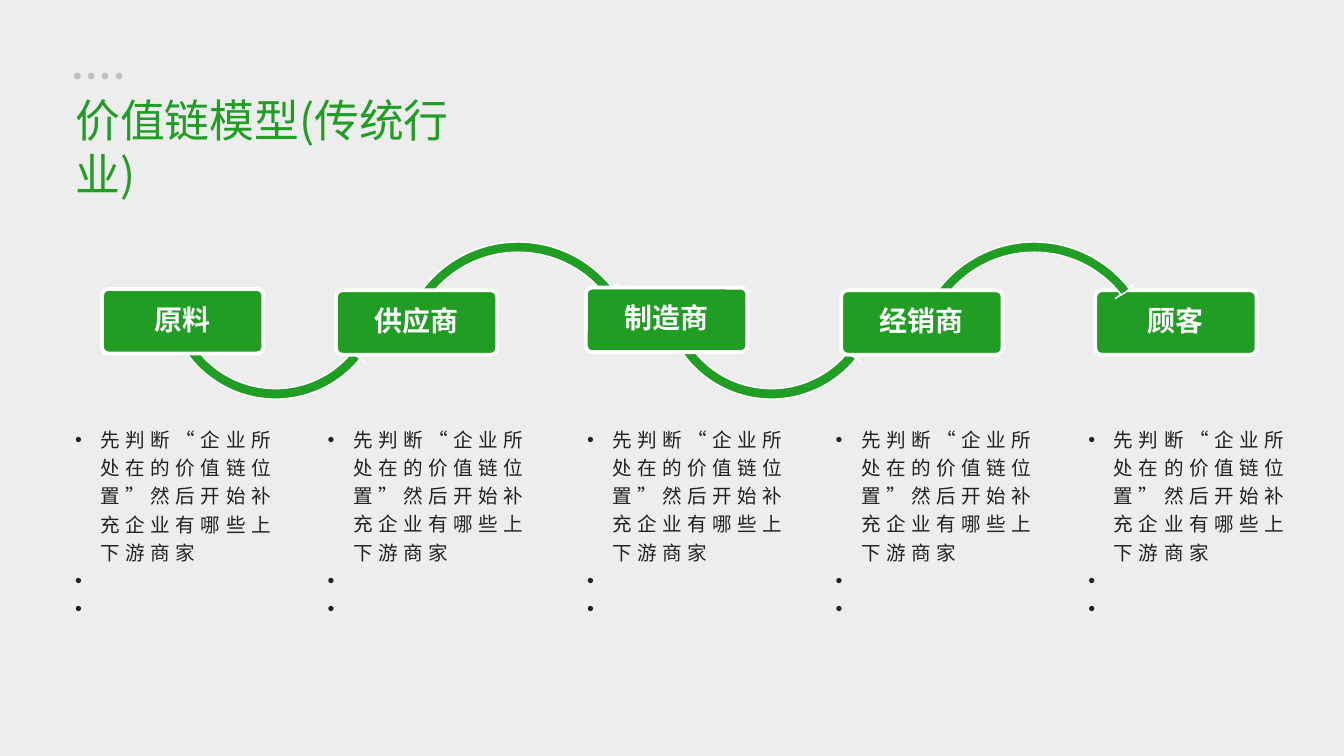
from dataclasses import dataclass

from lxml import etree
from pptx import Presentation
from pptx.dml.color import RGBColor
from pptx.enum import shapes, text
from pptx.oxml import ns
from pptx.util import Inches, Pt

FONT = "Noto Sans CJK SC"
COLORS = {"background": "EDEDED", "dot": "BFBFBF", "green": "1F9E23",
          "white": "FFFFFF", "body": "222222"}
ADVICE = "先判断“企业所处在的价值链位置”然后开始补充企业有哪些上下游商家"
KIND = shapes.MSO_SHAPE


@dataclass
class Stage:
    name: str
    left: float
    top: float
    advice_left: float


@dataclass
class Arc:
    kind: KIND
    left: float
    top: float
    size: float
    adjustments: tuple


STAGES = [
    Stage("原料", 0.76, 2.15, 0.46),
    Stage("供应商", 2.5, 2.16, 2.34),
    Stage("制造商", 4.36, 2.14, 4.27),
    Stage("经销商", 6.26, 2.16, 6.12),
    Stage("顾客", 8.15, 2.16, 8.0),
]
LOWER = (0.045, 0, 23.41, 90.25, 0.052)
UPPER = (0.04, 0.378, 193.16, 125.76, 0.047)
LOWER_ARCS = [Arc(KIND.LEFT_CIRCULAR_ARROW, left, 1.3, 1.72, LOWER) for left in (4.88, 1.19)]
UPPER_ARCS = [Arc(KIND.CIRCULAR_ARROW, left, 1.75, 1.89, UPPER) for left in (2.91, 6.75)]


def rgb(name: str) -> RGBColor:
    return RGBColor.from_string(COLORS[name])


def place(item, left: float, top: float, width: float, height: float) -> None:
    box = {"left": left, "top": top, "width": width, "height": height}
    for side, length in box.items():
        setattr(item, side, Inches(length))


def set_frame(frame, anchor, side: float = 0.1) -> None:
    layout = {"word_wrap": True, "auto_size": text.MSO_AUTO_SIZE.NONE,
              "vertical_anchor": anchor,
              "margin_left": Inches(side), "margin_right": Inches(side),
              "margin_top": Inches(0.05), "margin_bottom": Inches(0.05)}
    for name, value in layout.items():
        setattr(frame, name, value)


def write(paragraph, words: str, size: float, color: str, align, spacing: float,
          bold: bool = False, tracking: int = 0) -> None:
    layout = {"alignment": align, "line_spacing": spacing,
              "space_before": Pt(0), "space_after": Pt(0)}
    for name, value in layout.items():
        setattr(paragraph, name, value)
    run = paragraph.add_run()
    run.text = words
    for name, value in {"name": FONT, "size": Pt(size), "bold": bold}.items():
        setattr(run.font, name, value)
    run.font.color.rgb = rgb(color)
    properties = run._r.get_or_add_rPr()
    properties.set("lang", "zh-CN")
    etree.SubElement(properties, ns.qn("a:ea")).set("typeface", FONT)
    if tracking:
        properties.set("spc", str(tracking * 100))


def add_solid(slide, kind, box: tuple, fill: str, line_width: float = 0):
    solid = slide.shapes.add_shape(kind, *map(Inches, box))
    solid.shadow.inherit = False
    solid.fill.solid()
    solid.fill.fore_color.rgb = rgb(fill)
    if line_width:
        solid.line.color.rgb = rgb("white")
        solid.line.width = Pt(line_width)
    else:
        solid.line.fill.background()
    return solid


def draw_arc(slide, arc: Arc) -> None:
    arrow = add_solid(slide, arc.kind, (arc.left, arc.top, arc.size, arc.size), "green", 0.75)
    for index, value in enumerate(arc.adjustments):
        arrow.adjustments[index] = value


def draw_stage(slide, stage: Stage) -> None:
    card = add_solid(slide, KIND.ROUNDED_RECTANGLE,
                     (stage.left, stage.top, 1.2, 0.48), "green", 2)
    card.adjustments[0] = 0.1
    set_frame(card.text_frame, text.MSO_ANCHOR.MIDDLE, 0.07)
    write(card.text_frame.paragraphs[0], stage.name, 15, "white",
          text.PP_ALIGN.CENTER, 0.9, bold=True)


def write_advice(holder, left: float) -> None:
    place(holder, left, 3.1, 1.73, 1.58)
    frame = holder.text_frame
    set_frame(frame, text.MSO_ANCHOR.TOP)
    # The last two bullets are open for notes
    for index, words in enumerate((ADVICE, " ", " ")):
        paragraph = frame.add_paragraph() if index else frame.paragraphs[0]
        properties = paragraph._p.get_or_add_pPr()
        properties.set("marL", str(Inches(0.19)))
        properties.set("indent", str(-Inches(0.19)))
        etree.SubElement(properties, ns.qn("a:buFont")).set("typeface", "Arial")
        etree.SubElement(properties, ns.qn("a:buChar")).set("char", "•")
        write(paragraph, words, 10.5, "body", text.PP_ALIGN.LEFT, 1.2, tracking=3)


def main() -> None:
    deck = Presentation()
    # A 16:9 page
    deck.slide_width, deck.slide_height = Inches(10), Inches(10) * 9 // 16
    slide = deck.slides.add_slide(deck.slide_layouts[1])
    slide.background.fill.solid()
    slide.background.fill.fore_color.rgb = rgb("background")

    # Dots and title
    for index in range(4):
        add_solid(slide, KIND.OVAL, (0.55 + 0.31 * index / 3, 0.54, 0.05, 0.05), "dot")
    title = slide.shapes.title
    place(title, 0.46, 0.64, 3.39, 0.5)
    set_frame(title.text_frame, text.MSO_ANCHOR.TOP)
    write(title.text_frame.paragraphs[0], "价值链模型(传统行业)", 24, "green",
          text.PP_ALIGN.LEFT, 1.0)

    # Chain: lower arcs at the back, the two ends, upper arcs, inner stages
    for arc in LOWER_ARCS:
        draw_arc(slide, arc)
    for stage in (STAGES[0], STAGES[-1]):
        draw_stage(slide, stage)
    for arc in UPPER_ARCS:
        draw_arc(slide, arc)
    for stage in STAGES[1:-1]:
        draw_stage(slide, stage)

    # Advice under each stage
    first, *others = STAGES
    write_advice(slide.placeholders[1], first.advice_left)
    for stage in others:
        holder = slide.shapes.add_textbox(0, 0, 0, 0)
        write_advice(holder, stage.advice_left)

    deck.save("out.pptx")


if __name__ == "__main__":
    main()
